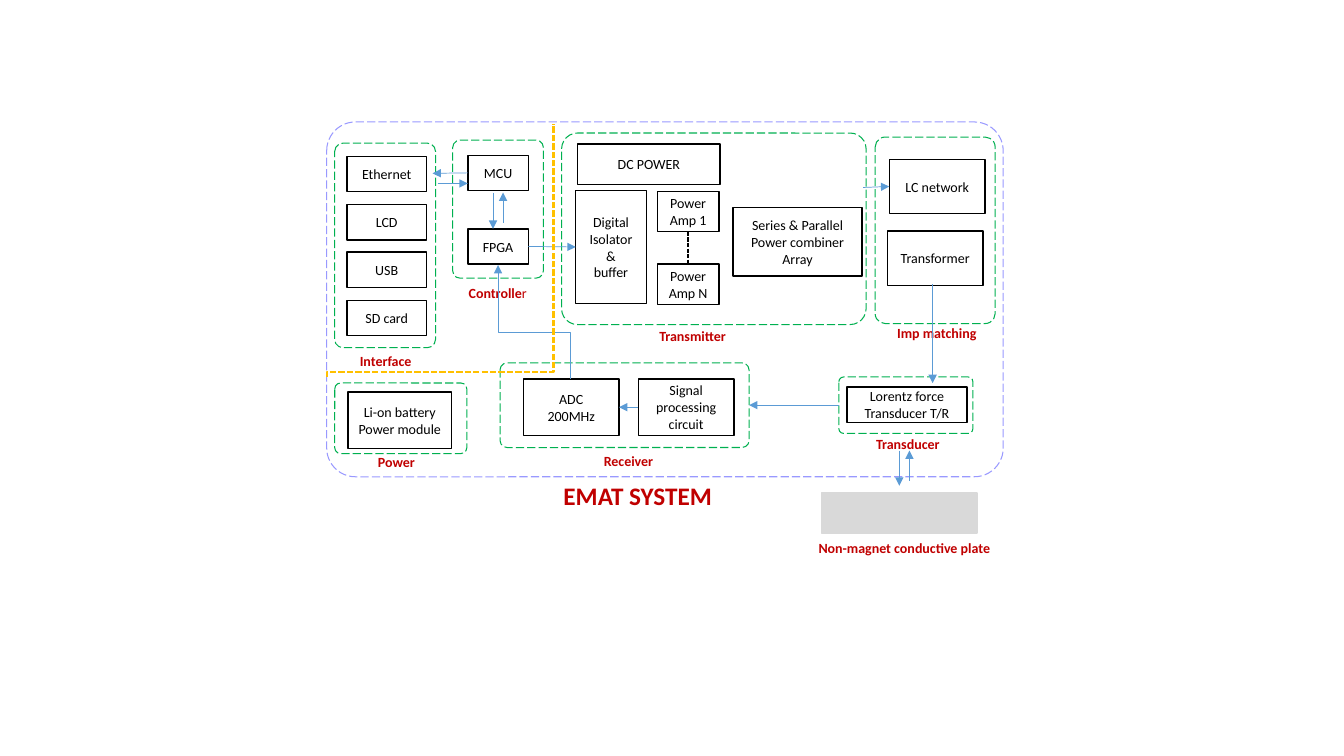
from lxml import etree
from pptx import Presentation
from pptx import util as u
from pptx.dml.color import RGBColor
from pptx.enum import dml, shapes, text
from pptx.oxml.ns import qn

PX = 9144  # 100 px to the inch
BLACK, RED, GREEN, BLUE = "000000", "C00000", "00B050", "5B9BD5"
VIOLET, AMBER, GREY = "9999FF", "FFC000", "D9D9D9"
TOP, LEFT, BOTTOM, RIGHT = range(4)
DASH = dml.MSO_LINE


def px(*lengths):
    return [u.Emu(round(n * PX)) for n in lengths]


def rgb(value):
    return RGBColor.from_string(value)


def set_line(line, color, width, dash=None):
    line.color.rgb = rgb(color)
    line.width = u.Pt(width)
    if dash is not None:
        line.dash_style = dash


def add_run(p, words, size=10, color=BLACK, bold=False):
    r = p.add_run()
    r.text = words
    r.font.name, r.font.size, r.font.bold = "Calibri", u.Pt(size), bold
    r.font.color.rgb = rgb(color)


def put_text(sp, words, align=text.PP_ALIGN.CENTER, anchor=text.MSO_ANCHOR.MIDDLE,
             wrap=True, **font):
    """Each line of words becomes a paragraph."""
    tf = sp.text_frame
    tf.word_wrap, tf.vertical_anchor = wrap, anchor
    for i, line in enumerate(words.split("\n")):
        p = tf.add_paragraph() if i else tf.paragraphs[0]
        p.alignment = align
        add_run(p, line, **font)


def outline(slide, kind, x, y, w, h, color, width, dash=None):
    sp = slide.shapes.add_shape(kind, *px(x, y, w, h))
    sp.shadow.inherit = False
    sp.fill.background()
    set_line(sp.line, color, width, dash)
    return sp


def block(slide, words, x, y, w, h):
    sp = outline(slide, shapes.MSO_SHAPE.RECTANGLE, x, y, w, h, BLACK, 1)
    put_text(sp, words)
    return sp


def frame(slide, x, y, w, h, color=GREEN, corner=0.083):
    sp = outline(slide, shapes.MSO_SHAPE.ROUNDED_RECTANGLE, x, y, w, h,
                 color, 0.75, DASH.LONG_DASH)
    sp.adjustments[0] = corner
    return sp


def caption(slide, words, x, y, w, h=27, size=10):
    sp = slide.shapes.add_textbox(*px(x, y, w, h))
    put_text(sp, words, text.PP_ALIGN.LEFT, text.MSO_ANCHOR.TOP, False,
             size=size, color=RED, bold=True)
    return sp


def finish(cxn, color, width, dash, head):
    set_line(cxn.line, color, width, dash)
    sppr = cxn._element.spPr
    if head:
        etree.SubElement(sppr.find(qn("a:ln")), qn("a:tailEnd"), type="triangle")
    etree.SubElement(sppr, qn("a:effectLst"))


def link(slide, start, end, color=BLUE, width=0.5, dash=None, head=True):
    """Straight line; an end is a point (x, y) or a joint (shape, side)."""
    cxn = slide.shapes.add_connector(shapes.MSO_CONNECTOR.STRAIGHT, 0, 0, 0, 0)
    if isinstance(start[0], int):
        cxn.begin_x, cxn.begin_y = px(*start)
    else:
        cxn.begin_connect(*start)
    if isinstance(end[0], int):
        cxn.end_x, cxn.end_y = px(*end)
    else:
        cxn.end_connect(*end)
    finish(cxn, color, width, dash, head)


def rising_elbow(slide, start, end, bend, color=BLUE, width=0.5, dash=None, head=True):
    """Bent line that leaves start upwards and turns at the share bend of its height."""
    (x1, y1), (x2, y2) = start, end
    mid_x, mid_y = (x1 + x2) / 2, (y1 + y2) / 2
    half_w, half_h = (y1 - y2) / 2, (x2 - x1) / 2
    cxn = slide.shapes.add_connector(
        shapes.MSO_CONNECTOR.ELBOW,
        *px(mid_x - half_w, mid_y - half_h, mid_x + half_w, mid_y + half_h))
    sppr = cxn._element.spPr
    sppr.find(qn("a:xfrm")).set("rot", str(270 * 60000))
    guides = sppr.find(qn("a:prstGeom")).find(qn("a:avLst"))
    etree.SubElement(guides, qn("a:gd"), name="adj1", fmla=f"val {round(bend * 100000)}")
    finish(cxn, color, width, dash, head)


def transmitter(slide, x, y, w, h):
    block(slide, "DC POWER", x + 16, y + 11, 141, 40)
    isolator = block(slide, "Digital\nIsolator\n&\nbuffer", x + 14, y + 57, 70, 112)
    first, last = [block(slide, f"Power\nAmp {n}", x + 95, y + dy, 61, 40)
                   for n, dy in (("1", 58), ("N", 130))]
    link(slide, (first, BOTTOM), (last, TOP), BLACK, 1, DASH.SQUARE_DOT, False)
    block(slide, "Series & Parallel\nPower combiner\nArray", x + 170, y + 74, 128, 68)
    frame(slide, x, y, w, h)
    caption(slide, "Transmitter", x + 87, y + h - 2, 89)
    return isolator


def receiver(slide, x, y, w, h):
    adc, signal = [block(slide, words, x + dx, y + 16, 95, 56)
                   for words, dx in (("ADC\n200MHz", 23), ("Signal processing circuit", 137))]
    link(slide, (signal, LEFT), (adc, RIGHT))
    caption(slide, "Receiver", x + 93, y + h, 70)
    return frame(slide, x, y, w, h)


def interface(slide, x, y, w, h):
    for i, port in enumerate(("Ethernet", "LCD", "USB", "SD card")):
        block(slide, port, x + 12, y + 13 + round(i * 143 / 3), 79, 35)
    frame(slide, x, y, w, h)
    caption(slide, "Interface", x + 15, y + h, 72)


def controller(slide, x, y, w, h):
    mcu, fpga = [block(slide, chip, x + 15, y + dy, 60, 35)
                 for chip, dy in (("MCU", 15), ("FPGA", 88))]
    link(slide, (x + 40, y + 52), (x + 40, y + 88))
    link(slide, (x + 50, y + 82), (x + 50, y + 52))
    frame(slide, x, y, w, h)
    label = caption(slide, "Controlle", x + 6, y + h + 1, 79)
    label.text_frame.word_wrap = True
    add_run(label.text_frame.paragraphs[0], "r", color=RED)
    return mcu, fpga


def matching(slide, x, y, w, h):
    network = block(slide, "LC network", x + 14, y + 22, 95, 54)
    block(slide, "Transformer", x + 12, y + 93, 95, 54)
    frame(slide, x, y, w, h)
    caption(slide, "Imp matching", x + 12, y + h - 4, 100)
    return network


def transducer(slide, x, y, w, h):
    block(slide, "Lorentz force Transducer T/R", x + 8, y + 10, 119, 35)
    caption(slide, "Transducer", x + 27, y + h - 3, 85)
    return frame(slide, x, y, w, h)


def power(slide, x, y, w, h):
    block(slide, "Li-on battery\nPower module", x + 13, y + 9, 103, 56)
    frame(slide, x, y, w, h)
    caption(slide, "Power", x + 33, y + h - 5, 58)


def plate(slide, x, y, w, h):
    sp = outline(slide, shapes.MSO_SHAPE.RECTANGLE, x, y, w, h, GREY, 1)
    sp.fill.solid()
    sp.fill.fore_color.rgb = rgb(GREY)
    caption(slide, "Non-magnet conductive plate", x - 13, y + h + 1, 193)
    link(slide, (x + 77, y - 42), (x + 77, y - 7))
    link(slide, (x + 87, y - 12), (x + 87, y - 42))


def emat_system(slide, x, y, w, h):
    frame(slide, x, y, w, h, VIOLET, 0.081)
    isolator = transmitter(slide, x + 233, y + 11, 302, 190)
    receiving = receiver(slide, x + 172, y + 239, 247, 84)
    interface(slide, x + 8, y + 21, 100, 203)
    mcu, fpga = controller(slide, x + 125, y + 18, 90, 137)
    network = matching(slide, x + 544, y + 15, 119, 185)
    sensing = transducer(slide, x + 508, y + 253, 133, 56)
    power(slide, x + 8, y + 259, 131, 70)
    link(slide, (fpga, RIGHT), (isolator, LEFT))
    link(slide, (mcu, LEFT), (x + 105, y + 51))
    link(slide, (x + 110, y + 61), (x + 140, y + 61))
    link(slide, (x + 532, y + 65), (network, LEFT))
    link(slide, (x + 601, y + 161), (x + 601, y + 259))
    link(slide, (sensing, LEFT), (receiving, RIGHT))
    rising_elbow(slide, (x + 242, y + 255), (x + 170, y + 142), 0.41)
    rising_elbow(slide, (x, y + 253), (x + 225, y + 2), 0.02,
                 AMBER, 1.5, DASH.SQUARE_DOT, False)
    caption(slide, "EMAT SYSTEM", x + 225, y + h - 1, 169, 40, 18)


def main():
    prs = Presentation()
    prs.slide_width, prs.slide_height = px(1333, 750)
    slide = prs.slides.add_slide(prs.slide_layouts[6])
    emat_system(slide, 324, 121, 671, 352)
    plate(slide, 815, 489, 154, 40)
    prs.save("out.pptx")


if __name__ == "__main__":
    main()
